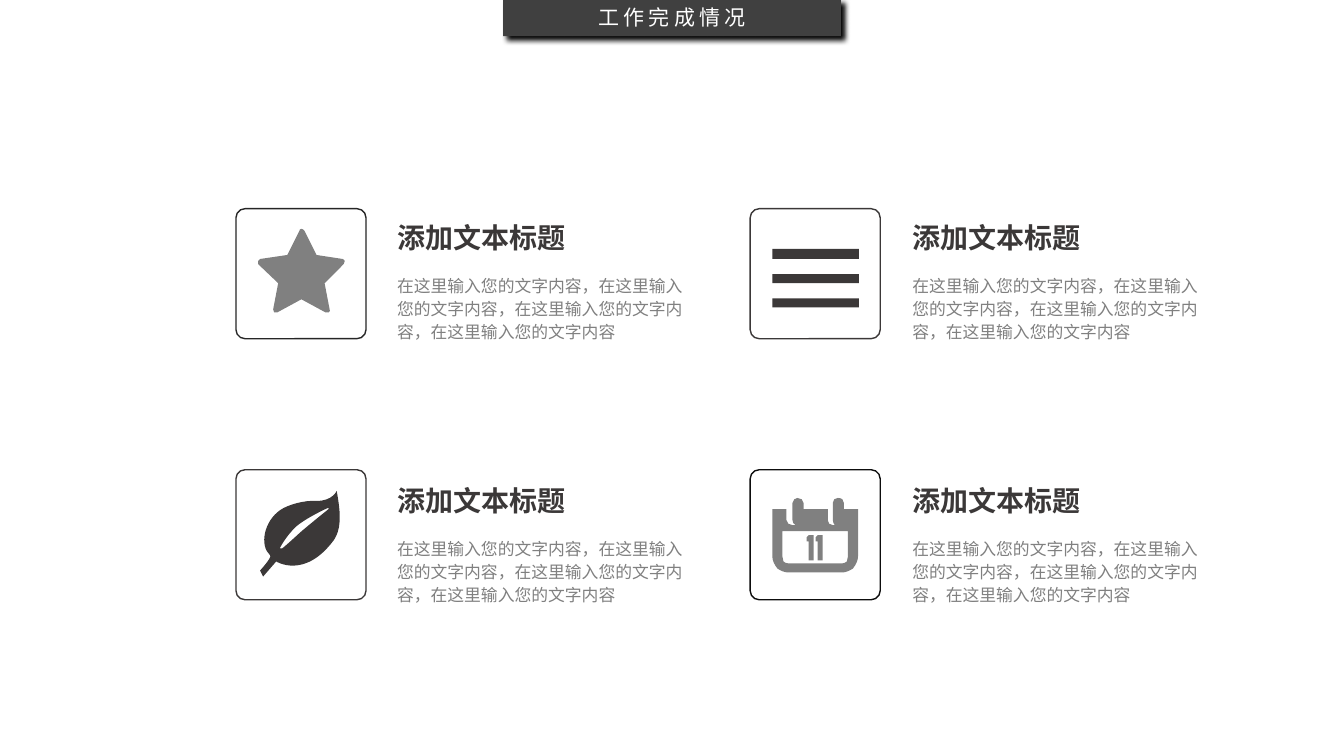
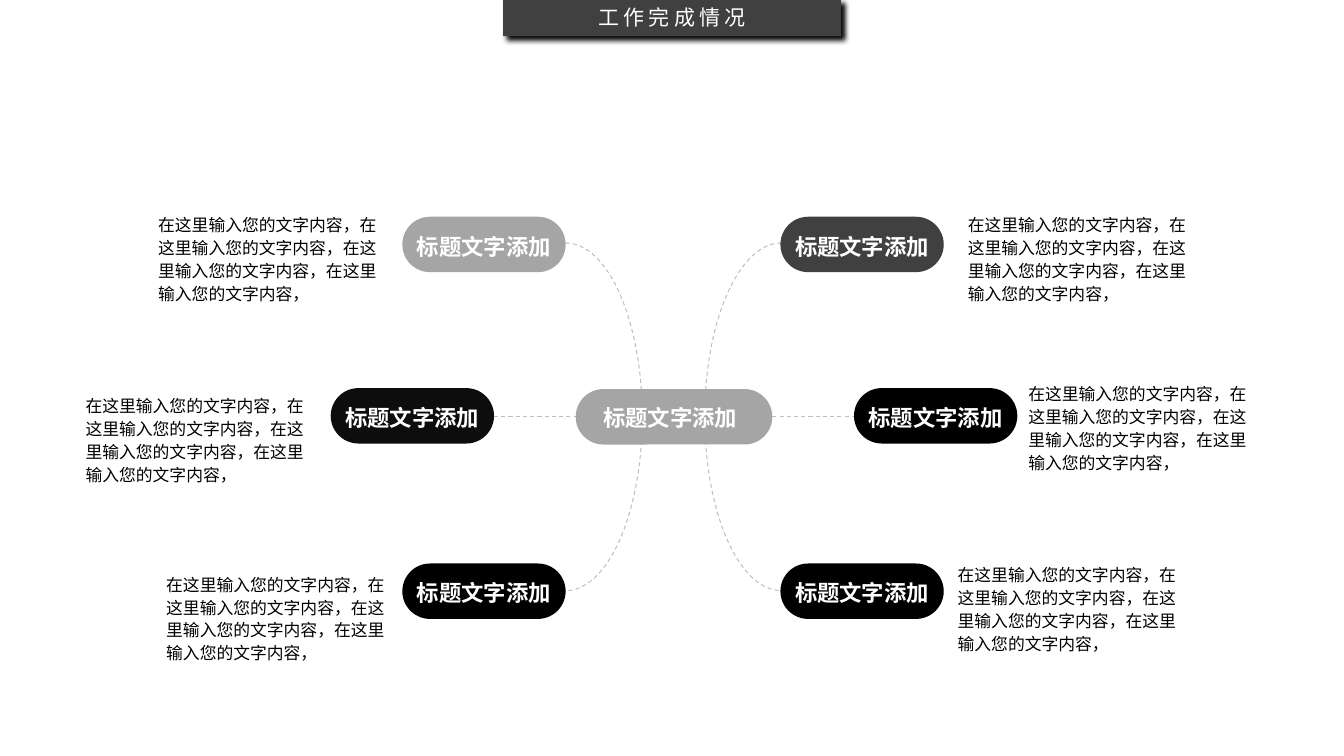
"""Build two work-completion slides: an icon card grid and a hub diagram."""
import pptx
import pptx.dml.color
import pptx.enum.dml
import pptx.enum.shapes
import pptx.enum.text
import pptx.oxml
import pptx.oxml.ns
import pptx.util

Inches = pptx.util.Inches
Pt = pptx.util.Pt
RGBColor = pptx.dml.color.RGBColor
SHAPES = pptx.enum.shapes.MSO_SHAPE
ALIGN = pptx.enum.text.PP_ALIGN
ANCHOR = pptx.enum.text.MSO_ANCHOR

WHITE = RGBColor(0xFF, 0xFF, 0xFF)
BLACK = RGBColor(0x00, 0x00, 0x00)
NEAR_BLACK = RGBColor(0x0D, 0x0D, 0x0D)
INK = RGBColor(0x26, 0x26, 0x26)
CHARCOAL = RGBColor(0x3B, 0x38, 0x38)
BAND = RGBColor(0x40, 0x40, 0x40)
GRAY = RGBColor(0x80, 0x80, 0x80)
SILVER = RGBColor(0xA5, 0xA5, 0xA5)
RULE = RGBColor(0xBF, 0xBF, 0xBF)

HEADING_FONT = "Noto Sans CJK SC"
BODY_FONT = "TeX Gyre Adventor"
BAND_STYLE = {"font": {"name": HEADING_FONT, "size": Pt(15), "bold": False}, "color": WHITE,
              "paragraph": {"alignment": ALIGN.CENTER},
              "frame": {"vertical_anchor": ANCHOR.MIDDLE, "margin_bottom": Inches(0.02)}}
HEADING_STYLE = {"font": {"name": HEADING_FONT, "size": Pt(20), "bold": True},
                 "color": CHARCOAL, "paragraph": {"alignment": ALIGN.LEFT}, "frame": {}}
CARD_STYLE = {"font": {"name": BODY_FONT, "size": Pt(12)}, "color": GRAY,
              "paragraph": {"alignment": ALIGN.LEFT, "line_spacing": 1.14}, "frame": {}}
CAPTION_STYLE = {**CARD_STYLE, "color": BLACK}
PILL_STYLE = {"font": {"name": HEADING_FONT, "size": Pt(16), "bold": True}, "color": WHITE,
              "paragraph": {"alignment": ALIGN.CENTER, "line_spacing": 1.2},
              "frame": {"vertical_anchor": ANCHOR.MIDDLE, "word_wrap": False,
                        "margin_bottom": Inches(0.07)}}
HUB_STYLE = {**PILL_STYLE, "frame": {**PILL_STYLE["frame"], "margin_right": Inches(0.17),
                                     "margin_bottom": Inches(0.09)}}

TITLE = "工作完成情况"
CARD_HEADING = "添加文本标题"
PILL_LABEL = "标题文字添加"
CARD_TEXT = "，".join(["在这里输入您的文字内容"] * 4)
CAPTION_TEXT = CARD_TEXT + "，"

STAR = [
    [(2.97, 2.29), (2.97, 2.28, 2.98, 2.27, 2.99, 2.27), (3, 2.27, 3.01, 2.28, 3.02, 2.29),
     (3.14, 2.53), (3.4, 2.57), (3.41, 2.58, 3.42, 2.58, 3.42, 2.59),
     (3.42, 2.61, 3.42, 2.61, 3.41, 2.62), (3.22, 2.81), (3.27, 3.07),
     (3.28, 3.08, 3.27, 3.09, 3.26, 3.1), (3.25, 3.1, 3.24, 3.1, 3.23, 3.1),
     (2.99, 2.97), (2.75, 3.1), (2.74, 3.1, 2.73, 3.1, 2.72, 3.1),
     (2.71, 3.09, 2.71, 3.08, 2.71, 3.07), (2.76, 2.81), (2.56, 2.62),
     (2.56, 2.61, 2.56, 2.61, 2.56, 2.59), (2.56, 2.58, 2.57, 2.58, 2.58, 2.57), (2.85, 2.53)],
]
LEAF = [
    [(3.14, 4.97), (3.02, 4.96, 2.85, 5.01, 2.78, 5.06), (2.62, 5.17, 2.57, 5.41, 2.68, 5.51),
     (2.7, 5.53, 2.58, 5.66, 2.58, 5.66), (2.61, 5.72), (2.74, 5.57),
     (2.74, 5.57, 3.02, 5.75, 3.31, 5.36), (3.4, 5.23, 3.37, 5.04, 3.34, 4.87),
     (3.34, 4.87, 3.3, 4.97, 3.14, 4.97)],
    [(3.26, 5.04), (3.26, 5.05), (3.26, 5.05, 3.11, 5.17, 2.98, 5.28),
     (2.84, 5.41, 2.8, 5.44, 2.8, 5.44), (2.78, 5.44), (2.78, 5.43),
     (2.78, 5.43, 2.83, 5.33, 2.93, 5.23), (3.03, 5.14, 3.25, 5.04, 3.25, 5.04)],
]
DIGIT = [(0.07, 0.25), (0.07, 0), (0.02, 0), (0, 0.02), (0, 0.06), (0.02, 0.06), (0.02, 0.25)]
CALENDAR = [
    [(8.51, 5.05), (8.51, 5.52), (8.51, 5.56, 8.49, 5.6, 8.46, 5.64),
     (8.43, 5.66, 8.39, 5.68, 8.35, 5.68), (7.82, 5.68), (7.78, 5.68, 7.74, 5.66, 7.71, 5.64),
     (7.68, 5.6, 7.66, 5.56, 7.66, 5.52), (7.66, 5.05), (7.8, 5.05), (7.8, 5.16),
     (7.8, 5.19, 7.83, 5.21, 7.86, 5.21), (7.89, 5.21), (7.87, 5.19, 7.86, 5.19, 7.86, 5.16),
     (7.86, 4.99), (7.86, 4.96, 7.89, 4.94, 7.91, 4.94), (7.94, 4.94, 7.97, 4.96, 7.97, 4.99),
     (7.97, 5.05), (8.21, 5.05), (8.21, 5.16), (8.21, 5.19, 8.23, 5.21, 8.26, 5.21),
     (8.28, 5.21), (8.27, 5.19, 8.26, 5.19, 8.26, 5.16), (8.26, 4.99),
     (8.26, 4.96, 8.28, 4.94, 8.31, 4.94), (8.35, 4.94, 8.37, 4.96, 8.37, 4.99), (8.37, 5.05)],
    [(8.41, 5.27), (7.76, 5.27), (7.76, 5.52), (7.76, 5.54, 7.77, 5.55, 7.77, 5.57),
     (7.78, 5.58, 7.8, 5.59, 7.82, 5.59), (8.35, 5.59),
     (8.37, 5.59, 8.39, 5.58, 8.4, 5.57), (8.4, 5.55, 8.41, 5.54, 8.41, 5.52)],
    *[[(left + x, 5.31 + y) for x, y in DIGIT] for left in (8, 8.09)],
]
MENU_BARS = [(7.66, 2.47, 0.86, 0.1), (7.66, 2.72, 0.86, 0.09), (7.66, 2.96, 0.86, 0.09)]

CARD_COLUMNS = [(2.34, 3.84), (7.44, 8.95)]
CARD_ROWS = [(2.07, 2.14), (4.66, 4.75)]
CARD_SIZE = 1.29
CARDS = [(STAR, GRAY, INK), (None, CHARCOAL, CHARCOAL),
         (LEAF, CHARCOAL, CHARCOAL), (CALENDAR, GRAY, NEAR_BLACK)]

PILL_WIDTH, PILL_HEIGHT = 1.62, 0.55
HUB = (5.71, 3.86, 1.95, SILVER)
BRANCHES = [
    (3.99, 2.15, SILVER, (1.47, 2.05)),
    (7.74, 2.15, BAND, (9.5, 2.05)),
    (3.28, 3.85, NEAR_BLACK, (0.75, 3.85)),
    (8.47, 3.85, BLACK, (10.1, 3.73)),
    (3.99, 5.59, BLACK, (1.55, 5.62)),
    (7.74, 5.59, BLACK, (9.4, 5.53)),
]
ARC_SIDES = [(4.85, False), (6.99, True)]
ARC_ANGLES = [(162, 204.8), (10.5, 54.32)]
SPOKES = [(4.9, 5.71), (7.66, 8.47)]
SPOKE_Y = 4.13


def apply_format(target, values):
    for name, value in values.items():
        setattr(target, name, value)


def make_element(tag, content="", attributes=""):
    namespace = pptx.oxml.ns.nsdecls("a")
    return pptx.oxml.parse_xml(f"<a:{tag} {namespace} {attributes}>{content}</a:{tag}>")


def paint(shape, fill=None):
    if fill is None:
        shape.fill.background()
    else:
        shape.fill.solid()
        shape.fill.fore_color.rgb = fill
    shape.line.fill.background()


def draw_line(shape, color, width, dash=None):
    shape.line.color.rgb = color
    apply_format(shape.line, {"width": Pt(width), "dash_style": dash})


def write(shape, text, style):
    apply_format(shape.text_frame, {"word_wrap": True, "vertical_anchor": ANCHOR.TOP,
                                    "auto_size": pptx.enum.text.MSO_AUTO_SIZE.NONE,
                                    **style["frame"]})
    paragraph = shape.text_frame.paragraphs[0]
    apply_format(paragraph, style["paragraph"])
    run = paragraph.add_run()
    run.text = text
    apply_format(run.font, style["font"])
    run.font.color.rgb = style["color"]
    for properties in shape.element.iter(pptx.oxml.ns.qn("a:rPr")):
        properties.append(make_element("ea", attributes=f'typeface="{style["font"]["name"]}"'))


def add_shape(slide, kind, left, top, width, height, fill=None):
    shape = slide.shapes.add_shape(
        kind, Inches(left), Inches(top), Inches(width), Inches(height))
    shape.shadow.inherit = False
    paint(shape, fill)
    return shape


def add_text(slide, left, top, width, height, text, style):
    box = slide.shapes.add_textbox(Inches(left), Inches(top), Inches(width), Inches(height))
    write(box, text, style)


def add_titled_slide(presentation):
    slide = presentation.slides.add_slide(presentation.slide_layouts[5])
    band = slide.shapes.title
    apply_format(band, {"left": Inches(4.99), "top": 0,
                        "width": Inches(3.35), "height": Inches(0.36)})
    paint(band, BAND)
    band.element.spPr.append(make_element(
        "effectLst", f'<a:outerShdw blurRad="{Pt(4)}" dist="{Pt(4)}" dir="2400000" '
        'algn="tl" rotWithShape="0"><a:srgbClr val="000000">'
        '<a:alpha val="99000"/></a:srgbClr></a:outerShdw>'))
    write(band, TITLE, BAND_STYLE)
    band.text_frame.margin_bottom = Inches(0.08)
    for properties in band.element.iter(pptx.oxml.ns.qn("a:rPr")):
        properties.set("spc", "300")
    return slide


def bend_segments(icon, outlines):
    """Merge each run of three control points into one curve."""
    lines = iter(list(icon.element.iter(pptx.oxml.ns.qn("a:lnTo"))))
    for segment in (segment for outline in outlines for segment in outline[1:]):
        first = next(lines)
        if len(segment) == 6:
            curve = make_element("cubicBezTo")
            first.addprevious(curve)
            for line in (first, next(lines), next(lines)):
                curve.append(line[0])
                line.getparent().remove(line)


def add_icon(slide, outlines, color):
    contours = [[(Inches(segment[i]), Inches(segment[i + 1]))
                 for segment in outline for i in range(0, len(segment), 2)]
                for outline in outlines]
    builder = slide.shapes.build_freeform(*contours[0][0], scale=1.0)
    for index, points in enumerate(contours):
        if index:
            builder.move_to(*points[0])
        builder.add_line_segments(points[1:], close=True)
    icon = builder.convert_to_shape()
    bend_segments(icon, outlines)
    icon.shadow.inherit = False
    paint(icon, color)


def build_cards(presentation):
    slide = add_titled_slide(presentation)
    positions = [column + row for row in CARD_ROWS for column in CARD_COLUMNS]
    for (left, text_left, top, text_top), (icon, color, border) in zip(positions, CARDS):
        if icon:
            add_icon(slide, icon, color)
        else:
            for bar in MENU_BARS:
                add_shape(slide, SHAPES.RECTANGLE, *bar, color)
        frame = add_shape(slide, SHAPES.ROUNDED_RECTANGLE, left, top, CARD_SIZE, CARD_SIZE)
        frame.adjustments[0] = 0.07
        draw_line(frame, border, 1)
        add_text(slide, text_left, text_top, 2.25, 0.44, CARD_HEADING, HEADING_STYLE)
        add_text(slide, text_left, text_top + 0.52, 3.07, 0.79, CARD_TEXT, CARD_STYLE)


def add_pill(slide, left, top, width, fill, style=PILL_STYLE):
    pill = add_shape(slide, SHAPES.ROUNDED_RECTANGLE, left, top, width, PILL_HEIGHT, fill)
    pill.adjustments[0] = 0.5
    write(pill, PILL_LABEL, style)


def build_hub(presentation):
    slide = add_titled_slide(presentation)
    dash = pptx.enum.dml.MSO_LINE.DASH
    for left, flipped in ARC_SIDES:
        for angles in ARC_ANGLES:
            arc = add_shape(slide, SHAPES.ARC, left, 2.41, 1.52, 3.45)
            for index, angle in enumerate(angles):
                arc.adjustments[index] = angle
            if flipped:
                arc.element.spPr.get_or_add_xfrm().set("flipH", "1")
            draw_line(arc, RULE, 0.75, dash)
    for start, end in SPOKES:
        spoke = slide.shapes.add_connector(
            pptx.enum.shapes.MSO_CONNECTOR.STRAIGHT,
            Inches(start), Inches(SPOKE_Y), Inches(end), Inches(SPOKE_Y))
        draw_line(spoke, RULE, 0.75, dash)
        spoke.element.spPr.append(make_element("effectLst"))
    add_pill(slide, *HUB, HUB_STYLE)
    for left, top, fill, caption in BRANCHES:
        add_pill(slide, left, top, PILL_WIDTH, fill)
        add_text(slide, *caption, 2.48, 1, CAPTION_TEXT, CAPTION_STYLE)


def main():
    presentation = pptx.Presentation()
    apply_format(presentation, {"slide_width": Inches(13.33), "slide_height": Inches(7.5)})
    build_cards(presentation)
    build_hub(presentation)
    presentation.save("out.pptx")


if __name__ == "__main__":
    main()
